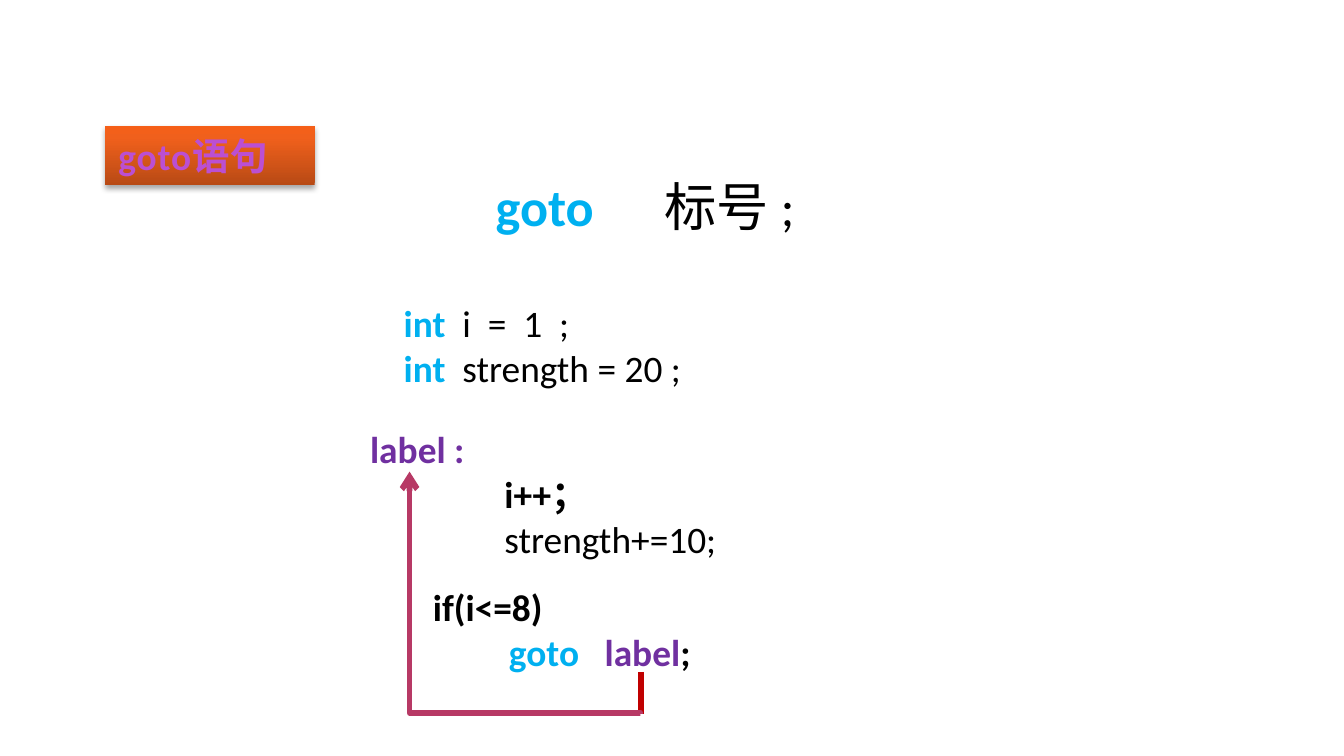
"""Build a slide that explains the goto statement with a short code sample."""
import copy

import pptx
import pptx.dml.color
import pptx.enum.shapes
import pptx.enum.text
import pptx.oxml
import pptx.oxml.ns
import pptx.util

Pt = pptx.util.Pt
qn = pptx.oxml.ns.qn
NS = pptx.oxml.ns.nsdecls("a")
HUES = {
    "key": "00B0F0", "label": "7030A0", "ink": "000000",
    "drop": "C00000", "jump": "B73965",
    "low": "B84A15", "mid": "F0601C", "high": "F55F18",
    "pale": "BB4FD2", "deep": "863598",
}


def tint(name):
    return pptx.dml.color.RGBColor.from_string(HUES[name])


def write(para, text, hue=None, bold=False, size=20, font="Calibri", space=0):
    run = para.add_run()
    run.text = text
    run.font.name, run.font.size, run.font.bold = font, Pt(size), bold
    asian = pptx.oxml.parse_xml(f'<a:ea {NS} typeface="Noto Sans CJK SC"/>')
    run.font._element.find(qn("a:latin")).addnext(asian)
    if space:
        run.font._element.set("spc", str(round(space * 100)))
    if hue:
        run.font.color.rgb = tint(hue)
    return run


deck = pptx.Presentation()
deck.slide_width, deck.slide_height = Pt(720), Pt(405)
slide = deck.slides.add_slide(deck.slide_layouts[5])

title = slide.shapes.title
title.left, title.top, title.width, title.height = Pt(56.2), Pt(67.5), Pt(112.3), Pt(31.7)
title.text_frame.auto_size = pptx.enum.text.MSO_AUTO_SIZE.NONE
head = title.text_frame.paragraphs[0]
head.alignment = pptx.enum.text.PP_ALIGN.LEFT
run = write(head, "goto语句", bold=True, space=0.5)

shades = [
    (title.fill, 90, [(0, "low"), (0.8, "mid"), (1, "high")]),
    (run.font.fill, 270, [(0.25, "pale"), (1, "deep")]),
]
for fill, angle, stops in shades:
    fill.gradient()
    fill.gradient_angle = angle
    first = fill.gradient_stops[0]._gs
    for extra in stops[2:]:
        first.addnext(copy.deepcopy(first))
    for stop, (place, hue) in zip(fill.gradient_stops, stops):
        stop.position, stop.color.rgb = place, tint(hue)

title._element.spPr.append(pptx.oxml.parse_xml(
    f'<a:effectLst {NS}><a:outerShdw blurRad="{Pt(3.1)}" dist="{Pt(1.8)}" dir="5400000" rotWithShape="0">'
    '<a:srgbClr val="000000"><a:alpha val="35000"/></a:srgbClr></a:outerShdw></a:effectLst>'))

blocks = [
    ((258.5, 90, 253.4, 41), [
        (0, [("goto", dict(hue="key", bold=True, size=28)),
             (" ", dict(hue="key", bold=True, size=28, space=31.7)),
             ("标号 ", dict(hue="ink", size=28, font="Noto Sans CJK SC")),
             (";", dict(hue="ink", size=28))]),
    ]),
    ((191.2, 157.2, 455.8, 55.4), [
        (18, [("int  ", dict(hue="key", bold=True)), ("i  =  1  ;", dict(hue="ink"))]),
        (18, [("int", dict(hue="key", bold=True)), ("  strength = 20 ;", dict(hue="ink"))]),
    ]),
    ((191.2, 225, 455.8, 79.9), [
        (0, [("label :", dict(hue="label", bold=True))]),
        (72, [("i++；", dict(hue="ink", bold=True))]),
        (72, [("strength+=10;", dict(hue="ink"))]),
    ]),
    ((224.9, 309.6, 405.4, 55.4), [
        (0, [("if(i<=8)", dict(hue="ink", bold=True))]),
        (40.7, [("goto", dict(hue="key", bold=True)),
                (" ", dict(hue="key", bold=True, space=9.1)),
                ("label", dict(hue="label", bold=True)),
                (";", dict(hue="ink", bold=True))]),
    ]),
]
for place, lines in blocks:
    frame = slide.shapes.add_textbox(*map(Pt, place)).text_frame
    frame.word_wrap = True
    frame.auto_size = pptx.enum.text.MSO_AUTO_SIZE.SHAPE_TO_FIT_TEXT
    for row, (indent, parts) in enumerate(lines):
        para = frame.add_paragraph() if row else frame.paragraphs[0]
        props = para._p.get_or_add_pPr()
        props.set("marL", str(Pt(indent)))
        props.set("indent", "0")
        for text, style in parts:
            write(para, text, **style)

kinds = pptx.enum.shapes.MSO_CONNECTOR
group = slide.shapes.add_group_shape()
for kind, ends, hue in [
    (kinds.STRAIGHT, (343.4, 360, 343.4, 382.3), "drop"),
    (kinds.ELBOW, (216.5, 255.6, 346.1, 379.4), "jump"),
]:
    link = group.shapes.add_connector(kind, *map(Pt, ends))
    link.line.color.rgb, link.line.width = tint(hue), Pt(3)
    link._element.spPr.append(pptx.oxml.parse_xml(f"<a:effectLst {NS}/>"))

shape = link._element.spPr
shape.xfrm.set("rot", "16200000")
shape.xfrm.set("flipV", "1")
shape.find(qn("a:prstGeom")).find(qn("a:avLst")).append(
    pptx.oxml.parse_xml(f'<a:gd {NS} name="adj1" fmla="val 300"/>'))
shape.find(qn("a:ln")).append(pptx.oxml.parse_xml(f'<a:tailEnd {NS} type="arrow"/>'))

deck.save("out.pptx")
